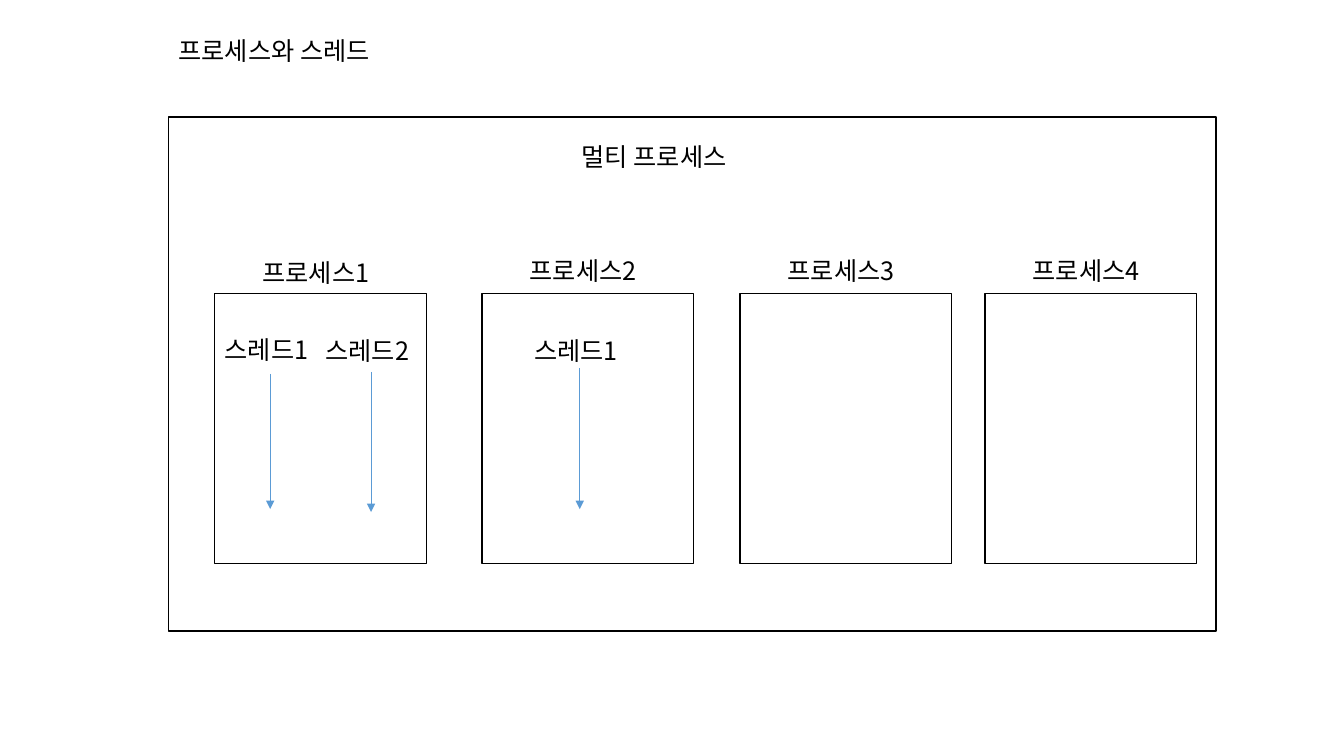
from lxml import etree
from pptx import Presentation
from pptx.dml.color import RGBColor
from pptx.enum.shapes import MSO_CONNECTOR, MSO_SHAPE
from pptx.enum.text import MSO_ANCHOR, MSO_AUTO_SIZE, PP_ALIGN
from pptx.oxml.ns import qn
from pptx.util import Inches, Pt

BLACK = RGBColor(0x00, 0x00, 0x00)
BLUE = RGBColor(0x5B, 0x9B, 0xD5)
FONT = "Noto Sans CJK KR"
LABEL_HEIGHT = 0.4
PROCESS_WIDTH, PROCESS_HEIGHT = 2.1, 2.68
THREAD_WIDTH = 1.1

# Process number, left edge, label top, and its threads:
# (offset in the box, label top, arrow start, arrow end)
PROCESSES = [
    (1, 2.13, 2.5, [(0, 3.27, 3.71, 5.05), (1, 3.28, 3.69, 5.08)]),
    (2, 4.78, 2.48, [(0.42, 3.28, 3.65, 5.05)]),
    (3, 7.34, 2.48, []),
    (4, 9.77, 2.48, []),
]


def place(shape, left, top, width, height):
    shape.left, shape.top = Inches(left), Inches(top)
    shape.width, shape.height = Inches(width), Inches(height)


def write_text(shape, text):
    frame = shape.text_frame
    frame.text = text
    frame.word_wrap = False
    frame.auto_size = MSO_AUTO_SIZE.SHAPE_TO_FIT_TEXT
    frame.vertical_anchor = MSO_ANCHOR.TOP
    paragraph = frame.paragraphs[0]
    paragraph.alignment = PP_ALIGN.LEFT
    font = paragraph.font
    font.size = Pt(18)
    font.color.rgb = BLACK
    font.name = FONT
    # Korean letters take the East Asian font
    properties = paragraph._p.pPr.find(qn("a:defRPr"))
    etree.SubElement(properties, qn("a:ea")).set("typeface", FONT)


def add_label(slide, text, left, top, width):
    label = slide.shapes.add_textbox(
        Inches(left), Inches(top), Inches(width), Inches(LABEL_HEIGHT))
    write_text(label, text)


def add_frame(slide, left, top, width, height):
    frame = slide.shapes.add_shape(
        MSO_SHAPE.RECTANGLE, Inches(left), Inches(top), Inches(width), Inches(height))
    frame.shadow.inherit = False
    frame.fill.background()
    frame.line.color.rgb = BLACK
    frame.line.width = Pt(1)


def add_arrow(slide, x, start, end):
    arrow = slide.shapes.add_connector(
        MSO_CONNECTOR.STRAIGHT, Inches(x), Inches(start), Inches(x), Inches(end))
    arrow.line.color.rgb = BLUE
    arrow.line.width = Pt(0.5)
    line = arrow.line._get_or_add_ln()
    etree.SubElement(line, qn("a:tailEnd")).set("type", "triangle")
    etree.SubElement(arrow._element.spPr, qn("a:effectLst"))


def add_title(slide, left, top, width):
    title = slide.shapes.title
    place(title, left, top, width, LABEL_HEIGHT)
    write_text(title, "프로세스와 스레드")


def add_process(slide, number, left, top, label_top, threads):
    add_frame(slide, left, top, PROCESS_WIDTH, PROCESS_HEIGHT)
    label_width = 1.35
    label_left = left + (PROCESS_WIDTH - label_width) / 2
    add_label(slide, f"프로세스{number}", label_left, label_top, label_width)
    # Threads running inside the process
    for index, (offset, thread_top, start, end) in enumerate(threads, 1):
        thread_left = left + offset
        add_label(slide, f"스레드{index}", thread_left, thread_top, THREAD_WIDTH)
        add_arrow(slide, thread_left + THREAD_WIDTH / 2, start, end)


def add_multi_process(slide, left, top, width, height):
    add_frame(slide, left, top, width, height)
    add_label(slide, "멀티 프로세스", left + 4, top + 0.19, 1.81)
    for number, process_left, label_top, threads in PROCESSES:
        add_process(slide, number, process_left, top + 1.75, label_top, threads)


def main():
    presentation = Presentation()
    presentation.slide_width = Inches(13.33)
    presentation.slide_height = Inches(7.5)
    slide = presentation.slides.add_slide(presentation.slide_layouts[5])
    add_title(slide, 1.67, 0.3, 2.31)
    add_multi_process(slide, 1.67, 1.16, 10.39, 5.1)
    presentation.save("out.pptx")


if __name__ == "__main__":
    main()
